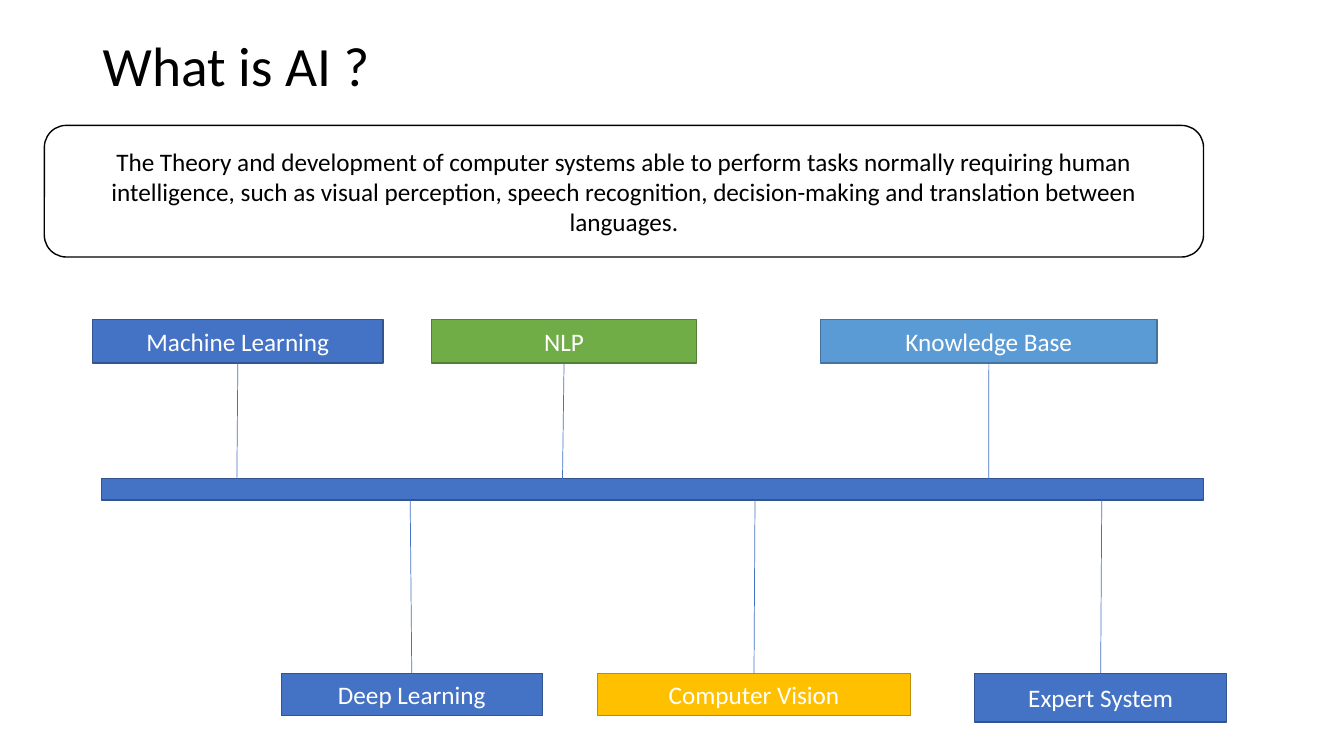
from dataclasses import dataclass

import pptx
import pptx.dml.color
import pptx.enum.shapes
import pptx.enum.text
import pptx.oxml.ns
import pptx.util
from lxml import etree

Pt = pptx.util.Pt
SHAPES = pptx.enum.shapes.MSO_SHAPE
ALIGN = pptx.enum.text.PP_ALIGN


@dataclass(frozen=True)
class Theme:
    font: str = "Calibri"
    title_size: float = 39.6
    body_size: float = 18
    ink: str = "000000"
    paper: str = "FFFFFF"
    blue: tuple = ("4472C4", "325491")
    green: tuple = ("70AD47", "538035")
    sky: tuple = ("5B9BD5", "43739E")
    gold: tuple = ("FFC000", "BD8E00")


THEME = Theme()
BAR_TOP, BAR_HEIGHT = 342, 15.1
UPPER_TOP, LOWER_TOP = 228.3, 481

UPPER_FIELDS = [
    ("Machine Learning", 66.2, 207.4, 31, THEME.blue, 169.2),
    ("NLP", 308.2, 189.4, 31, THEME.green, 401.8),
    ("Knowledge Base", 586.1, 240.5, 31, THEME.sky, 706.3),
]
LOWER_FIELDS = [
    ("Deep Learning", 200.9, 186.5, 30.2, THEME.blue, 293),
    ("Computer Vision", 427, 223.2, 30.2, THEME.gold, 539.3),
    ("Expert System", 696.2, 180, 34.6, THEME.blue, 787),
]


def rgb(value):
    return pptx.dml.color.RGBColor.from_string(value)


def write(frame, text, size, color, align):
    frame.word_wrap = True
    frame.auto_size = pptx.enum.text.MSO_AUTO_SIZE.NONE
    frame.vertical_anchor = pptx.enum.text.MSO_ANCHOR.MIDDLE
    paragraph = frame.paragraphs[0]
    paragraph.alignment = align
    run = paragraph.add_run()
    run.text = text
    run.font.name = THEME.font
    run.font.size = Pt(size)
    run.font.color.rgb = rgb(color)
    return paragraph


def add_title(slide, text):
    title = slide.shapes.title
    title.left, title.top = Pt(66.2), Pt(28.8)
    title.width, title.height = Pt(828), Pt(40.3)
    heading = write(title.text_frame, text, THEME.title_size, THEME.ink, ALIGN.LEFT)
    heading.line_spacing = 0.9


def add_panel(slide, kind, left, top, width, height, colors, text="", ink=THEME.paper):
    panel = slide.shapes.add_shape(kind, Pt(left), Pt(top), Pt(width), Pt(height))
    fill, outline = colors
    panel.shadow.inherit = False
    panel.fill.solid()
    panel.fill.fore_color.rgb = rgb(fill)
    panel.line.color.rgb = rgb(outline)
    panel.line.width = Pt(1)
    if text:
        write(panel.text_frame, text, THEME.body_size, ink, ALIGN.CENTER)


def add_stem(slide, start_x, start_y, end_x, end_y):
    stem = slide.shapes.add_connector(
        pptx.enum.shapes.MSO_CONNECTOR.STRAIGHT,
        Pt(start_x), Pt(start_y), Pt(end_x), Pt(end_y))
    stem.line.color.rgb = rgb(THEME.blue[0])
    stem.line.width = Pt(0.5)
    etree.SubElement(stem._element.spPr, pptx.oxml.ns.qn("a:effectLst"))


def add_field(slide, top, label, left, width, height, colors, bar_x):
    add_panel(slide, SHAPES.RECTANGLE, left, top, width, height, colors, label)
    center = left + width / 2
    if top < BAR_TOP:
        add_stem(slide, center, top + height, bar_x, BAR_TOP)
    else:
        add_stem(slide, center, top, bar_x, BAR_TOP + BAR_HEIGHT)


def main():
    deck = pptx.Presentation()
    deck.slide_width, deck.slide_height = Pt(960), Pt(540)
    slide = deck.slides.add_slide(deck.slide_layouts[5])
    add_title(slide, "What is AI ?")
    add_panel(
        slide, SHAPES.ROUNDED_RECTANGLE, 31.7, 89.6, 828, 94, (THEME.paper, THEME.ink),
        "The Theory and development of computer systems able to perform tasks "
        "normally requiring human intelligence, such as visual perception, speech "
        "recognition, decision-making and translation between languages.",
        THEME.ink)
    add_panel(slide, SHAPES.RECTANGLE, 72.7, BAR_TOP, 787, BAR_HEIGHT, THEME.blue)
    for top, fields in ((UPPER_TOP, UPPER_FIELDS), (LOWER_TOP, LOWER_FIELDS)):
        for field in fields:
            add_field(slide, top, *field)
    deck.save("out.pptx")


if __name__ == "__main__":
    main()
